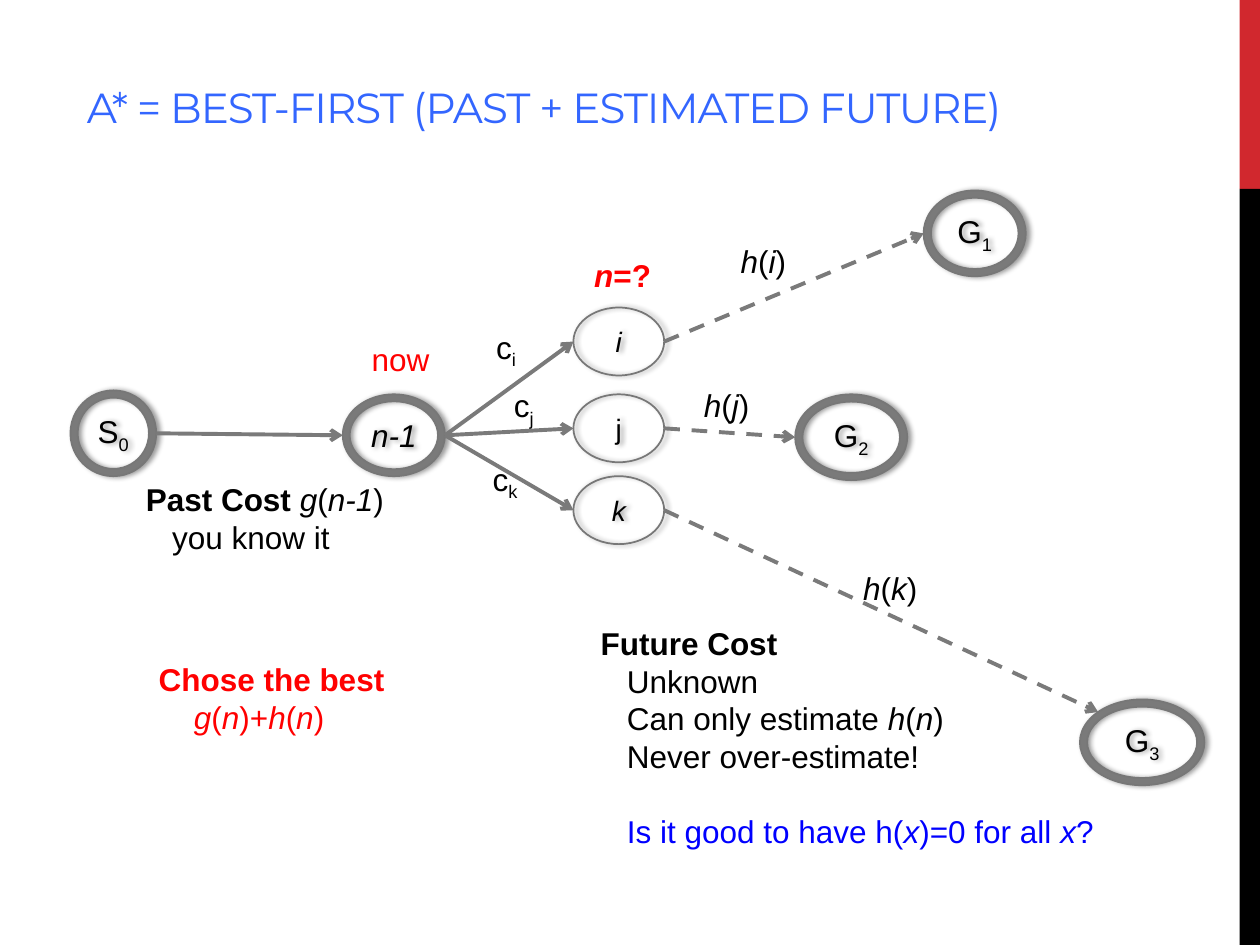
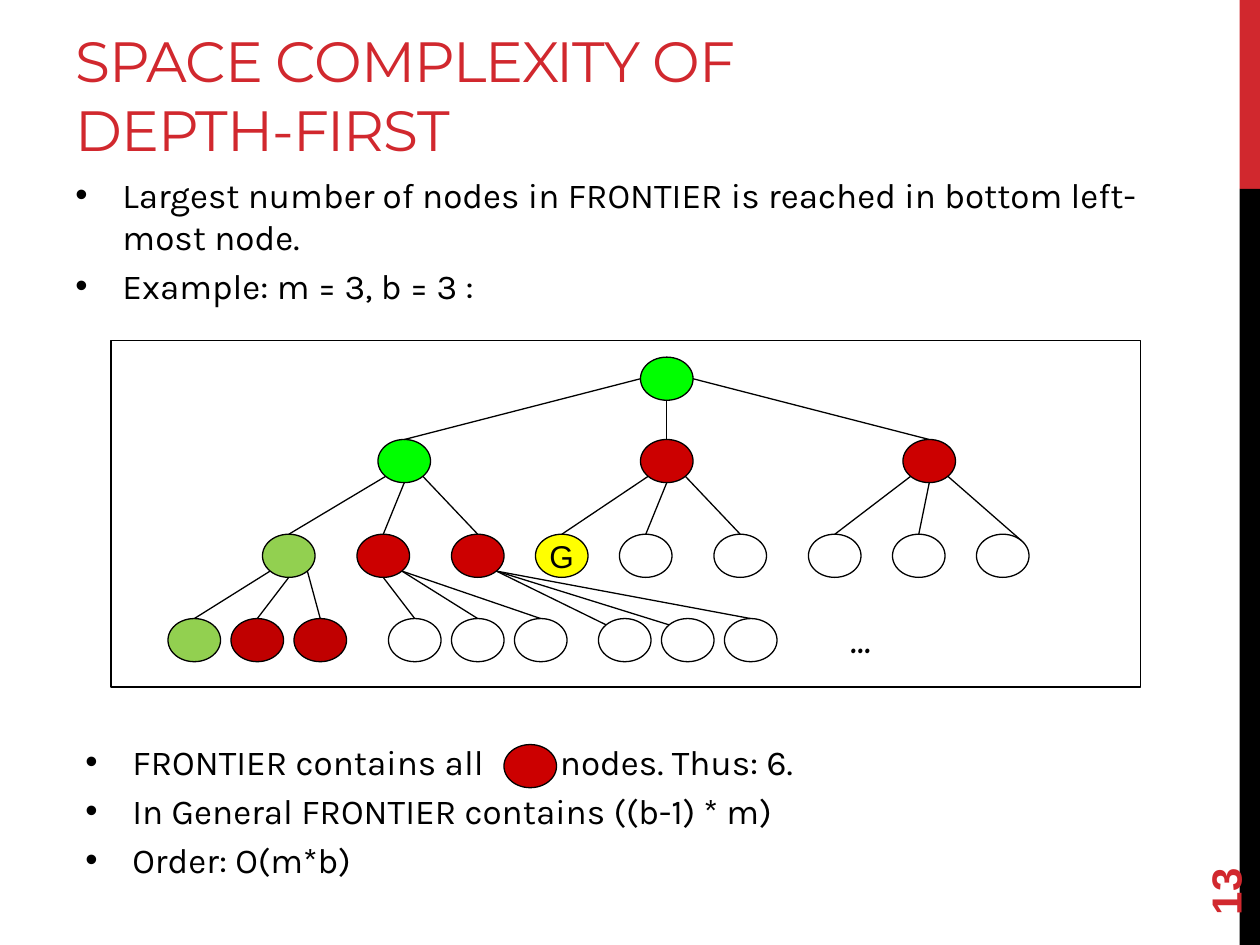
from math import cos, sin, radians
from lxml.etree import SubElement
from pptx import Presentation
from pptx.dml.color import RGBColor
from pptx.enum.dml import MSO_LINE
from pptx.enum.shapes import MSO_CONNECTOR, MSO_SHAPE
from pptx.enum.text import MSO_ANCHOR, MSO_AUTO_SIZE, PP_ALIGN
from pptx.oxml.ns import qn
from pptx.util import Cm, Pt

RED, BLACK, WHITE, GRAY = "D1282E", "000000", "FFFFFF", "7A7A7A"
ALERT, BLUE, RIM = "FF0000", "0000FF", "777777"
SITES = dict(E=0, SE=45, S=90, SW=135, W=180, NW=225, N=270, NE=315)
MARKS = {"^": "bold", "~": "italic", "_": "sub", "|": "wide"}


def rgb(code):
    """Turn a hex string into a colour."""
    return RGBColor.from_string(code)


def split(text):
    """Yield pieces of marked text with the marks in force for each."""
    state, piece = set(), ""
    for char in text:
        if char in MARKS:
            if piece:
                yield piece, frozenset(state)
            state ^= {MARKS[char]}
            piece = ""
        else:
            piece += char
    if piece:
        yield piece, frozenset(state)


def write(frame, text, size=18, font="Arial", color=BLACK, align=PP_ALIGN.LEFT,
          indent=0, before=0, bullet=False, track=0):
    """Add a paragraph; ^bold^, ~italic~, _subscript_ and |wide gap| are marks."""
    para = frame.paragraphs[0]
    if para.runs:
        para = frame.add_paragraph()
    para.alignment = align
    para.space_before = Pt(before)
    props = para._p.get_or_add_pPr()
    props.set("marL", str(Cm(indent)))
    props.set("indent", str(-Cm(indent) if bullet else 0))
    if bullet:
        tint = SubElement(props, qn("a:buClr"))
        SubElement(tint, qn("a:srgbClr"), val=BLACK)
        SubElement(props, qn("a:buFont"), typeface="Arial")
        SubElement(props, qn("a:buChar"), char="•")
    for piece, marks in split(text):
        run = para.add_run()
        run.text = piece
        run.font.size, run.font.name = Pt(size), font
        run.font.color.rgb = rgb(color)
        run.font.bold = "bold" in marks
        run.font.italic = "italic" in marks
        look = run._r.get_or_add_rPr()
        if "sub" in marks:
            look.set("baseline", "-25000")
        if track or "wide" in marks:
            look.set("spc", "3860" if "wide" in marks else str(track))


def spot(shape, site):
    """Return the point of an oval at a compass site."""
    turn = radians(SITES[site])
    wide, high = shape.width / 2, shape.height / 2
    return (round(shape.left + wide * (1 + cos(turn))),
            round(shape.top + high * (1 + sin(turn))))


class Deck:
    """Hold the presentation style and the current slide."""

    def __init__(self):
        """Start a deck of 4:3 slides."""
        self.file = Presentation()
        self.file.slide_width, self.file.slide_height = Cm(25.4), Cm(19.05)

    def page(self, title, box, size, color):
        """Open a slide with its side bands and title."""
        self.slide = self.file.slides.add_slide(self.file.slide_layouts[6])
        self.shape(MSO_SHAPE.RECTANGLE, (24.99, 0, 0.41, 3.81), fill=RED)
        self.shape(MSO_SHAPE.RECTANGLE, (24.99, 3.81, 0.41, 15.24), fill=BLACK)
        frame = self.box(box, wrap=True, anchor=MSO_ANCHOR.BOTTOM).text_frame
        write(frame, title, size=size, font="Montserrat", color=color, track=-60)

    def shape(self, kind, box, fill=None, line=None, width=0.75):
        """Draw a preset shape with no shadow."""
        item = self.slide.shapes.add_shape(kind, *map(Cm, box))
        item.shadow.inherit = False
        if fill:
            item.fill.solid()
            item.fill.fore_color.rgb = rgb(fill)
        else:
            item.fill.background()
        if line:
            item.line.color.rgb = rgb(line)
            item.line.width = Pt(width)
        else:
            item.line.fill.background()
        return item

    def box(self, box, wrap=False, anchor=MSO_ANCHOR.TOP):
        """Place an empty text box."""
        item = self.slide.shapes.add_textbox(*map(Cm, box))
        frame = item.text_frame
        frame.word_wrap = wrap
        frame.vertical_anchor = anchor
        if not wrap:
            frame.auto_size = MSO_AUTO_SIZE.SHAPE_TO_FIT_TEXT
        return item

    def label(self, box, *lines, **style):
        """Place a text box with lines of one style."""
        frame = self.box(box).text_frame
        for text in lines:
            write(frame, text, **style)
        return frame

    def inside(self, item, text, size=18):
        """Centre text in a shape."""
        frame = item.text_frame
        frame.word_wrap = False
        frame.vertical_anchor = MSO_ANCHOR.MIDDLE
        write(frame, text, size=size, align=PP_ALIGN.CENTER)

    def state(self, box, text, ring=True):
        """Draw a search state: a heavy ring or a thin oval, with shadow."""
        kind = MSO_SHAPE.DONUT if ring else MSO_SHAPE.OVAL
        item = self.shape(kind, box, GRAY if ring else None, RIM, 1)
        if ring:
            item.adjustments[0] = 0.085
        effect = item._element.spPr.find(qn("a:effectLst"))
        cast = SubElement(effect, qn("a:outerShdw"), blurRad=str(Pt(3.1)),
                          dist=str(Pt(1.8)), dir="0", rotWithShape="0")
        tint = SubElement(cast, qn("a:srgbClr"), val=BLACK)
        SubElement(tint, qn("a:alpha"), val="40000")
        self.inside(item, text, 18 if ring else 16)
        return item

    def node(self, left, top, fill):
        """Draw a tree node."""
        return self.shape(MSO_SHAPE.OVAL, (left, top, 1.06, 0.87), fill, BLACK)

    def link(self, start, end, color=BLACK, width=0.75, arrow=False, dash=False):
        """Join two points with a line."""
        line = self.slide.shapes.add_connector(MSO_CONNECTOR.STRAIGHT, *start, *end)
        line.line.color.rgb = rgb(color)
        line.line.width = Pt(width)
        if dash:
            line.line.dash_style = MSO_LINE.DASH
        if arrow:
            SubElement(line.line._get_or_add_ln(), qn("a:tailEnd"), type="arrow")
        SubElement(line._element.spPr, qn("a:effectLst"))

    def step(self, start, end, site="W", dash=False):
        """Draw an arrow from one state to the next."""
        self.link(spot(start, "E"), spot(end, site), GRAY, 2.25, True, dash)

    def points(self, box, *lines):
        """Place a bullet list."""
        frame = self.box(box, wrap=True).text_frame
        for text in lines:
            write(frame, text, size=20, font="Karla", indent=0.95, before=4,
                  bullet=True)


def search(deck):
    """Build the A* slide."""
    deck.page("A* = BEST-FIRST (PAST + ESTIMATED FUTURE)",
              (1.5, 0.79, 22.81, 2), 24, "3366FF")
    root = deck.state((1.42, 7.87, 1.73, 1.73), "S_0_")
    now = deck.state((6.91, 7.95, 2.06, 1.65), "~n-1~")
    goals = [deck.state(box, f"G_{num}_") for num, box in enumerate(
        [(18.62, 3.84, 2.06, 1.73), (16.03, 7.95, 2.26, 1.73),
         (21.77, 14.1, 2.51, 1.73)], 1)]
    nexts = [deck.state((11.56, top, 1.83, 1.37), text, ring=False)
             for top, text in [(6.2, "~i~"), (7.95, "j"), (9.6, "~k~")]]
    deck.step(root, now)
    for item, goal, site in zip(nexts, goals, ("W", "W", "NW")):
        deck.step(now, item)
        deck.step(item, goal, site, dash=True)

    costs = [("i", 9.75, 6.48, 14.68, 4.75), ("j", 10.11, 7.65, 13.94, 7.65),
             ("k", 9.68, 9.14, 17.15, 11.35)]
    for name, left, top, far, high in costs:
        wide = 0.18 if name == "k" else 0
        deck.label((left, top, 0.94 + wide / 2, 1.02), f"c_{name}_")
        deck.label((far, high, 1.47 + wide, 1.02), f"~h~(~{name}~)")
    deck.label((7.24, 6.73, 1.73, 1.02), "now", color=ALERT)
    deck.label((11.73, 5.03, 1.7, 1.02), "^~n~=?^", color=ALERT)

    past = deck.label((2.69, 9.55, 5.84, 1.8), "^Past Cost ^~g~(~n-1~)")
    write(past, "you know it", indent=0.53)
    future = deck.label((11.86, 12.45, 10.54, 4.88), "^Future Cost^")
    for text in ("Unknown", "Can only estimate ~h~(~n~)", "Never over-estimate!"):
        write(future, text, indent=0.53)
    write(future, "Is it good to have h(~x~)=0 for all ~x~?", color=BLUE,
          indent=0.53, before=21)
    best = deck.label((2.95, 13.18, 5.11, 1.8), "^Chose the best^", color=ALERT)
    write(best, "~g~(~n~)+~h~(~n~)", color=ALERT, indent=0.71)


def depth(deck):
    """Build the depth-first slide."""
    deck.page("SPACE COMPLEXITY OF DEPTH-FIRST", (1.27, 0.43, 16.08, 2.97),
              32.4, RED)
    deck.shape(MSO_SHAPE.RECTANGLE, (2.24, 6.86, 20.75, 6.99), WHITE, BLACK)
    number = deck.box((22.86, 16.36, 3.66, 1.02), True, MSO_ANCHOR.MIDDLE)
    number.rotation = 270
    write(number.text_frame, "^13^", size=24, color=RED)
    deck.points((1.27, 3.38, 22.02, 14.81),
                "Largest number of nodes in FRONTIER is reached in bottom "
                "left-most node.", "Example: m = 3, b = 3 :")

    fills = dict(G="00FF00", R="CC0000", Y="FFFF00", W=WHITE, L="92D050",
                 D="C00000")
    unit = 2.54 / 12
    rows = [(7.2, [61], "G"), (8.86, [36, 61, 86], "GRR"),
            (10.77, [25, 34, 43, 51, 59, 68, 77, 85, 93], "LRRYWWWWW"),
            (12.47, [first + 6 * i for first in (16, 37, 57) for i in range(3)],
             "LDDWWWWWW")]
    tree = [[deck.node(col * unit, top, fills[key])
             for col, key in zip(cols, keys)] for top, cols, keys in rows]
    deck.inside(tree[2][3], "G")

    leave = ["W S E", "SW S SE " * 3, "SW S SE S SE SE SE SE SE"]
    enter = {(1, 8): "NE", (2, 6): "NW", (2, 7): "NW"}
    for row, sites in enumerate(leave):
        for i, site in enumerate(sites.split()):
            deck.link(spot(tree[row][i // 3], site),
                      spot(tree[row + 1][i], enter.get((row, i), "N")))
    deck.label((16.89, 12.27, 1.52, 1.19), "^...^", size=22, font="Comic Neue")

    deck.points((1.47, 14.81, 22.02, 3.07),
                "FRONTIER contains all| |nodes. Thus: 6.",
                "In General FRONTIER contains ((b-1) * m)", "Order: O(m*b)")
    deck.node(10.16, 15.01, fills["R"])


deck = Deck()
search(deck)
depth(deck)
deck.file.save("out.pptx")
